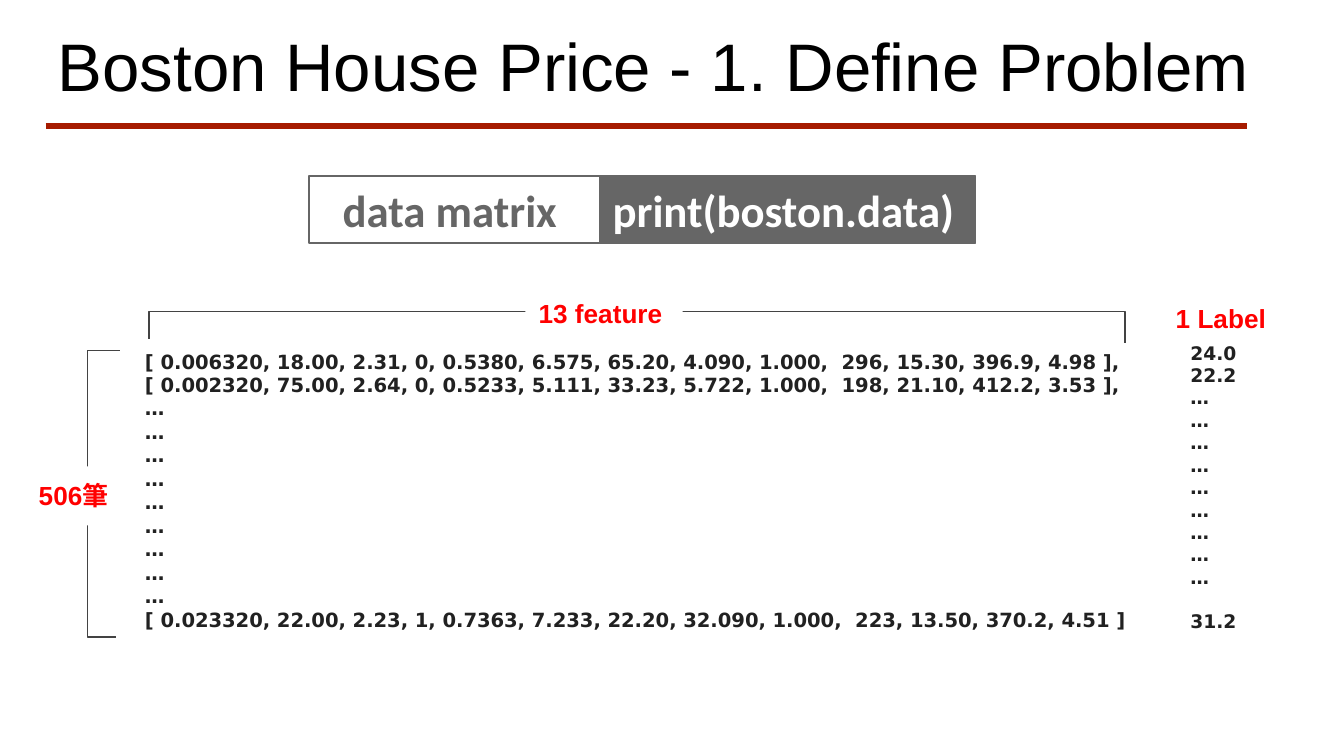
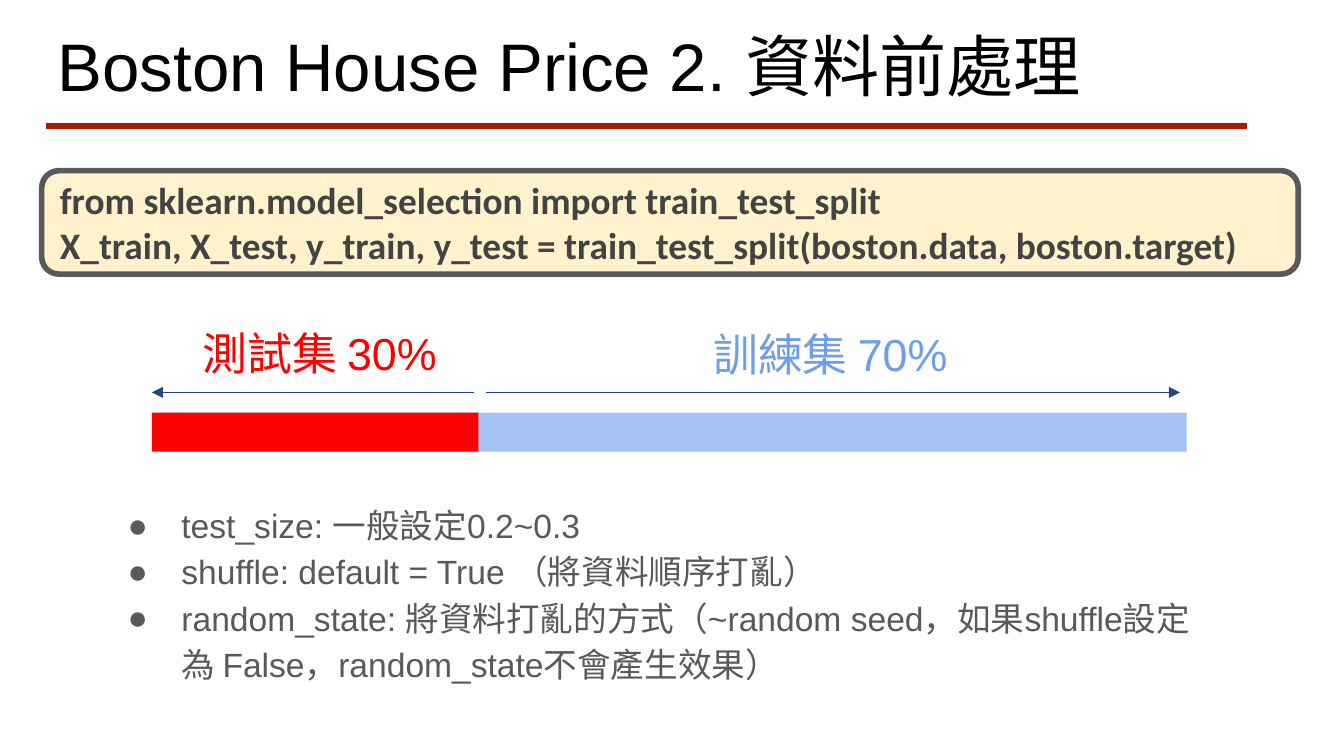
from lxml import etree
from pptx import Presentation
from pptx.dml.color import RGBColor
from pptx.enum import shapes, text
from pptx.oxml import ns
from pptx.util import Inches, Pt

SLIDE_WIDTH = 10
RULE_RED, RED, GRAY, DARK, NAVY = "A61B00", "FF0000", "666666", "434343", "1F497D"
BODY_GRAY, INK, WHITE, BLACK = "595959", "212121", "FFFFFF", "000000"
PALE_BLUE, BLUE, CREAM = "A4C2F4", "6D9EEB", "FFF2CC"

ROWS = [
    "[ 0.006320, 18.00, 2.31, 0, 0.5380, 6.575, 65.20, 4.090, 1.000,  296, 15.30, 396.9, 4.98 ],",
    "[ 0.002320, 75.00, 2.64, 0, 0.5233, 5.111, 33.23, 5.722, 1.000,  198, 21.10, 412.2, 3.53 ],",
    *["…"] * 9,
    "[ 0.023320, 22.00, 2.23, 1, 0.7363, 7.233, 22.20, 32.090, 1.000,  223, 13.50, 370.2, 4.51 ]",
]
LABELS = ["24.0", "22.2", *["…"] * 9, "31.2"]
SPLIT_CODE = [
    "from sklearn.model_selection import train_test_split",
    "X_train, X_test, y_train, y_test = train_test_split(boston.data, boston.target)",
]
OPTIONS = [
    "test_size: 一般設定0.2~0.3",
    "shuffle: default = True （將資料順序打亂）",
    "random_state: 將資料打亂的方式（~random seed，如果shuffle設定為 False，random_state不會產生效果）",
]


def rgb(color):
    """Turn a hex string into a colour."""
    return RGBColor.from_string(color)


def place(shape, left, top, width, height):
    """Move and size a shape, in inches."""
    shape.left, shape.top = Inches(left), Inches(top)
    shape.width, shape.height = Inches(width), Inches(height)


def set_margins(frame, left, top, right, bottom):
    """Set the four insets of a text frame, in inches."""
    frame.margin_left, frame.margin_top = Inches(left), Inches(top)
    frame.margin_right, frame.margin_bottom = Inches(right), Inches(bottom)


def write(frame, lines, size, color, font="Arial", bold=False):
    """Fill a text frame with left-aligned lines in one style."""
    frame.word_wrap = True
    frame.auto_size = text.MSO_AUTO_SIZE.NONE
    frame.text = "\n".join(lines)
    for paragraph in frame.paragraphs:
        paragraph.alignment = text.PP_ALIGN.LEFT
        for run in paragraph.runs:
            run.font.size, run.font.bold, run.font.name = Pt(size), bold, font
            run.font.color.rgb = rgb(color)


def add_text(slide, box, lines, size, color, font="Arial", bold=False):
    """Add a text box and return its frame."""
    frame = slide.shapes.add_textbox(*map(Inches, box)).text_frame
    set_margins(frame, 0.1, 0.1, 0.1, 0.1)
    write(frame, lines, size, color, font, bold)
    return frame


def add_block(slide, box, fill=None, line=None, width=0.75, kind=shapes.MSO_SHAPE.RECTANGLE):
    """Add a flat preset shape."""
    block = slide.shapes.add_shape(kind, *map(Inches, box))
    block.shadow.inherit = False
    if fill:
        block.fill.solid()
        block.fill.fore_color.rgb = rgb(fill)
    else:
        block.fill.background()
    if line:
        block.line.color.rgb = rgb(line)
        block.line.width = Pt(width)
    else:
        block.line.fill.background()
    return block


def add_tag(slide, box, label, color, fill=None, indent=0.1):
    """Add one half of the gray heading pair."""
    frame = add_block(slide, box, fill, GRAY).text_frame
    set_margins(frame, indent, 0.05, 0.1, 0.05)
    write(frame, [label], 24, color, "Calibri", True)
    frame.vertical_anchor = text.MSO_ANCHOR.MIDDLE


def add_bracket(slide, points):
    """Draw an open outline through points given in inches."""
    start, *rest = [(Inches(x), Inches(y)) for x, y in points]
    builder = slide.shapes.build_freeform(*start)
    builder.add_line_segments(rest, close=False)
    bracket = builder.convert_to_shape()
    bracket.shadow.inherit = False
    bracket.fill.background()
    bracket.line.color.rgb = rgb(DARK)
    bracket.line.width = Pt(0.75)


def add_count(slide, box, label):
    """Add a red count on white that interrupts a bracket."""
    frame = add_block(slide, box, WHITE).text_frame
    set_margins(frame, 0.1, 0.1, 0.1, 0.1)
    write(frame, [label], 14, RED, bold=True)
    frame.vertical_anchor = text.MSO_ANCHOR.TOP


def add_line(slide, start, end, color, width, arrow=False):
    """Add a straight line, with an arrowhead at its end if wanted."""
    line = slide.shapes.add_connector(
        shapes.MSO_CONNECTOR.STRAIGHT, *map(Inches, (*start, *end)))
    line.line.color.rgb = rgb(color)
    line.line.width = Pt(width)
    if arrow:
        outline = line._element.spPr.find(ns.qn("a:ln"))
        etree.SubElement(outline, ns.qn("a:tailEnd"), type="triangle")
    etree.SubElement(line._element.spPr, ns.qn("a:effectLst"))


def add_slide(deck, layout, title, title_width):
    """Add a slide with the shared title and red rule."""
    slide = deck.slides.add_slide(deck.slide_layouts[layout])
    add_line(slide, (0.34, 0.94), (9.28, 0.94), RULE_RED, 3)
    heading = slide.shapes.title
    place(heading, 0.42, 0.17, title_width, 0.63)
    set_margins(heading.text_frame, 0.01, 0.01, 0, 0)
    write(heading.text_frame, [title], 36, BLACK)
    heading.text_frame.vertical_anchor = text.MSO_ANCHOR.TOP
    return slide


def add_bullets(slide, lines):
    """Fill the body placeholder with the option list."""
    body = slide.placeholders[1]
    place(body, 0.94, 3.7, 7.98, 1.4)
    set_margins(body.text_frame, 0, 0.06, 0, 0)
    write(body.text_frame, lines, 18, BODY_GRAY)
    for index, paragraph in enumerate(body.text_frame.paragraphs):
        paragraph.space_before = Pt(3.1 if index == 1 else 0)
        paragraph.line_spacing = 1.15 if index == 2 else 1.0
        props = paragraph._p.get_or_add_pPr()
        props.set("marL", str(Inches(0.41)))
        props.set("indent", str(Inches(-0.4)))
        bullet_color = etree.SubElement(props, ns.qn("a:buClr"))
        etree.SubElement(bullet_color, ns.qn("a:srgbClr"), val=BODY_GRAY)
        etree.SubElement(props, ns.qn("a:buChar"), char="●")


def build_problem(deck):
    """Build the slide on the data matrix and its labels."""
    slide = add_slide(deck, 5, "Boston House Price - 1. Define Problem", 9.07)
    add_text(slide, (0.98, 2.5, 7.68, 2.38), ROWS, 10.5, INK, "DejaVu Sans", True)
    add_tag(slide, (2.3, 1.31, 2.16, 0.5), "data matrix", GRAY, indent=0.25)
    add_tag(slide, (4.46, 1.31, 2.8, 0.5), "print(boston.data)", WHITE, GRAY)
    add_bracket(slide, [(1.11, 2.52), (1.11, 2.32), (8.37, 2.32), (8.37, 2.55)])
    add_count(slide, (3.91, 2.11, 1.17, 0.44), "13 feature")
    labels = add_text(slide, (8.76, 2.44, 0.73, 2.26), LABELS, 10, INK, "DejaVu Sans", True)
    labels.paragraphs[-1].space_before = Pt(11.5)
    add_text(slide, (8.65, 2.15, 1, 0.44), ["1 Label"], 14, RED, bold=True)
    add_bracket(slide, [(0.86, 4.74), (0.65, 4.74), (0.65, 2.61), (0.89, 2.61)])
    add_count(slide, (0.19, 3.47, 0.73, 0.44), "506筆")


def build_split(deck):
    """Build the slide on splitting test and training data."""
    slide = add_slide(deck, 1, "Boston House Price 2. 資料前處理", 8.14)
    add_bullets(slide, OPTIONS)
    add_block(slide, (1.19, 3.07, 7.64, 0.29), PALE_BLUE)
    add_block(slide, (1.13, 3.07, 2.43, 0.29), RED)
    for start, end in ((3.53, 1.13), (3.62, 8.78)):
        add_line(slide, (start, 2.92), (end, 2.92), NAVY, 0.75, arrow=True)
    add_text(slide, (1.41, 2.32, 2.17, 0.63), ["測試集 30%"], 24, RED)
    add_text(slide, (5.21, 2.33, 2.17, 0.63), ["訓練集 70%"], 24, BLUE)
    code = add_block(slide, (0.31, 1.27, 9.35, 0.77), CREAM, BODY_GRAY, 3,
                     shapes.MSO_SHAPE.ROUNDED_RECTANGLE).text_frame
    set_margins(code, 0.1, 0.1, 0.1, 0.1)
    write(code, SPLIT_CODE, 20, DARK, "Calibri", True)
    code.vertical_anchor = text.MSO_ANCHOR.MIDDLE


def main():
    """Build and save the deck."""
    deck = Presentation()
    deck.slide_width = Inches(SLIDE_WIDTH)
    deck.slide_height = Inches(SLIDE_WIDTH * 9 / 16)
    build_problem(deck)
    build_split(deck)
    deck.save("out.pptx")


if __name__ == "__main__":
    main()
